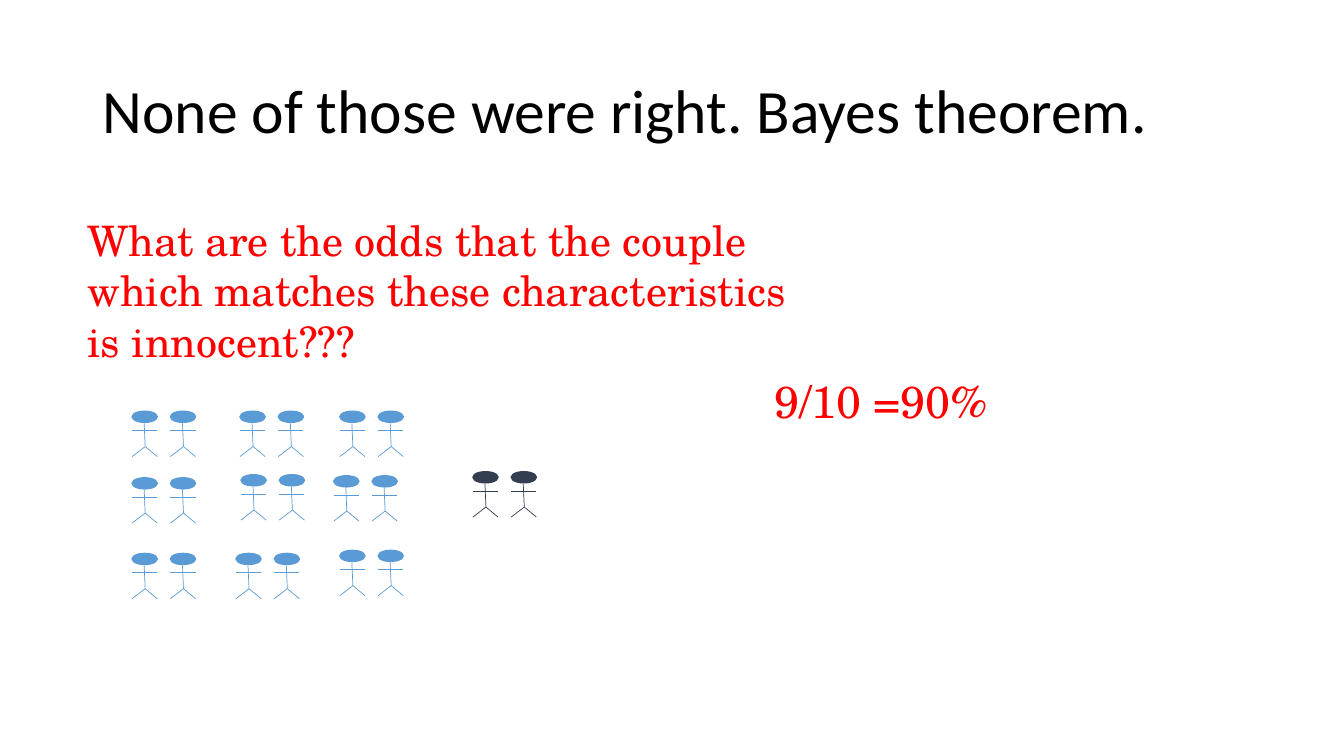
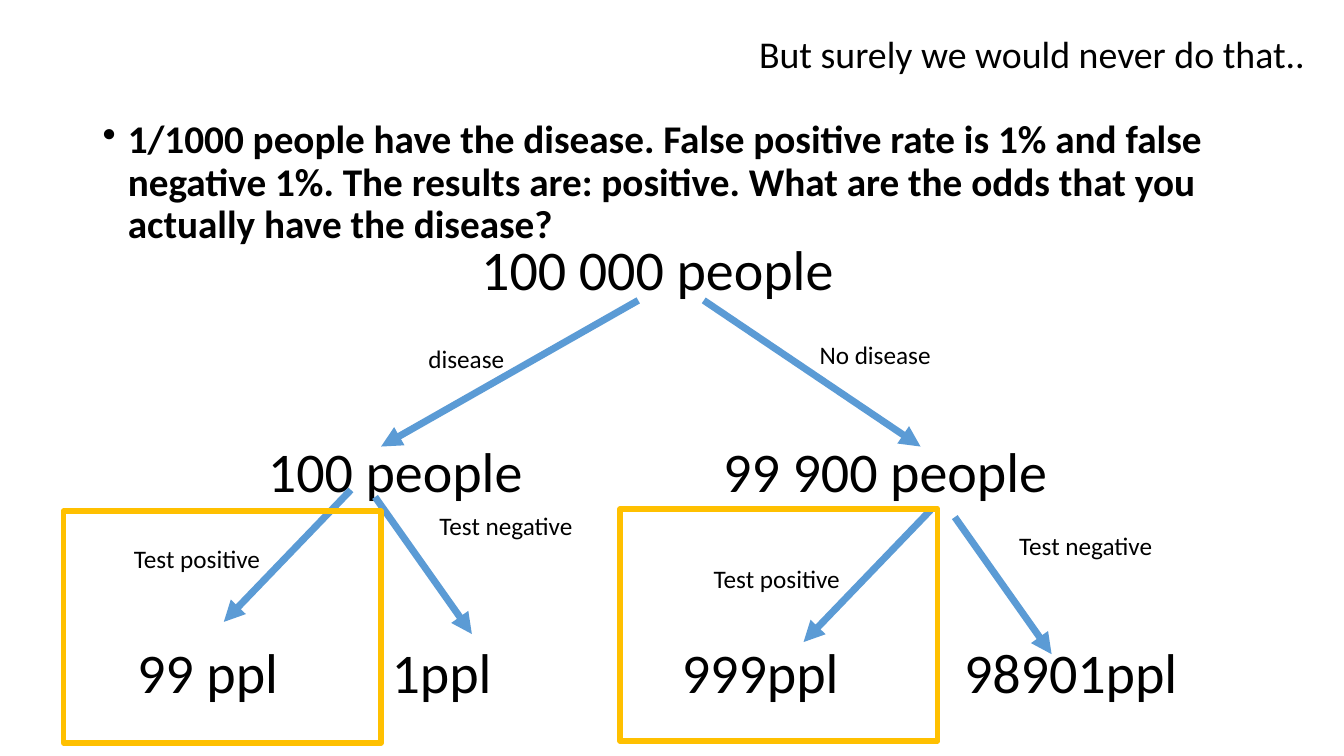
import pptx
import pptx.dml.color
import pptx.enum.shapes
import pptx.enum.text
import pptx.oxml
import pptx.oxml.ns
import pptx.util
from pptx.util import Inches

RGBColor = pptx.dml.color.RGBColor
BLACK = RGBColor(0x00, 0x00, 0x00)
RED = RGBColor(0xFF, 0x00, 0x00)
BLUE = RGBColor(0x5B, 0x9B, 0xD5)
SLATE = RGBColor(0x33, 0x3F, 0x50)
GOLD = RGBColor(0xFF, 0xC0, 0x00)

SANS = "Calibri"
SERIF = "TeX Gyre Schola"
LEFT = pptx.enum.text.PP_ALIGN.LEFT
CENTER = pptx.enum.text.PP_ALIGN.CENTER
RIGHT = pptx.enum.text.PP_ALIGN.RIGHT
TOP = pptx.enum.text.MSO_ANCHOR.TOP
MIDDLE = pptx.enum.text.MSO_ANCHOR.MIDDLE
SHAPE = pptx.enum.shapes.MSO_SHAPE
STRAIGHT = pptx.enum.shapes.MSO_CONNECTOR.STRAIGHT

PERSON_WIDTH = 0.25
PARTNER_GAP = 0.38
PERSON_LINES = [
    ((0.12, 0.12), (0.13, 0.35)),
    ((0.13, 0.35), (0, 0.45)),
    ((0.25, 0.45), (0.13, 0.35)),
    ((0, 0.19), (0.25, 0.19)),
]
INNOCENT_COUPLES = [
    (1.31, 4.08), (2.38, 4.08), (3.37, 4.08),
    (1.31, 4.74), (2.39, 4.71), (3.31, 4.72),
    (1.31, 5.49), (2.34, 5.49), (3.37, 5.46),
]
GUILTY_COUPLE = (4.69, 4.68)

NODE_HEIGHT = 0.77
TREE_TOP = 2.28
LEVEL_STEP = 2
TREE_LEVELS = [
    [("100 000 people", 6.52)],
    [("100 people", 3.92), ("99 900 people", 8.78)],
    [("99 ppl", 2.06), ("1ppl", 4.38), ("999ppl", 7.54), ("98901ppl", 10.62)],
]


def add_text(page, box, text, size, font=SANS, color=BLACK, bold=False,
             align=LEFT, anchor=TOP, spacing=1.0):
    frame = page.shapes.add_textbox(*map(Inches, box)).text_frame
    frame.word_wrap = True
    frame.vertical_anchor = anchor
    para = frame.paragraphs[0]
    para.alignment = align
    para.line_spacing = spacing
    span = para.add_run()
    span.text = text
    formats = {"name": font, "size": pptx.util.Pt(size), "bold": bold}
    for name, value in formats.items():
        setattr(span.font, name, value)
    span.font.color.rgb = color
    return para


def add_title(page, box, text, size, align=LEFT):
    add_text(page, box, text, size, align=align, anchor=MIDDLE, spacing=0.9)


def add_bullet(para, indent):
    properties = para._p.get_or_add_pPr()
    properties.set("marL", str(Inches(indent)))
    properties.set("indent", str(-Inches(indent)))
    pptx.oxml.ns.qn("a:buChar")
    bullet = pptx.oxml.parse_xml(
        '<a:buChar xmlns:a="http://schemas.openxmlformats.org/drawingml/2006/main" char="•"/>')
    properties.append(bullet)


def add_line(shapes, start, end, color, width, arrow=False):
    line = shapes.add_connector(STRAIGHT, *map(Inches, (*start, *end)))
    line.line.color.rgb = color
    line.line.width = pptx.util.Pt(width)
    if arrow:
        tail = line.line._get_or_add_ln().makeelement(
            pptx.oxml.ns.qn("a:tailEnd"), {"type": "triangle"})
        line.line._get_or_add_ln().append(tail)
    properties = line._element.spPr
    properties.append(properties.makeelement(pptx.oxml.ns.qn("a:effectLst"), {}))


def add_preset(shapes, preset, box, line_color, width, fill=None):
    shape = shapes.add_shape(preset, *map(Inches, box))
    shape.shadow.inherit = False
    shape.line.color.rgb = line_color
    shape.line.width = pptx.util.Pt(width)
    if fill is None:
        shape.fill.background()
    else:
        shape.fill.solid()
        shape.fill.fore_color.rgb = fill


def add_person(page, left, top, color):
    shapes = page.shapes.add_group_shape().shapes
    add_preset(shapes, SHAPE.OVAL, (left, top, PERSON_WIDTH, 0.11), color, 1, color)
    for start, end in PERSON_LINES:
        add_line(shapes, (left + start[0], top + start[1]),
                 (left + end[0], top + end[1]), color, 0.5)


def add_couple(page, left, top, color):
    for partner in range(2):
        add_person(page, left + partner * PARTNER_GAP, top, color)


def add_label(page, left, top, text):
    add_text(page, (left, top, 1.52, 0.4), text, 18)


def add_test_branch(page, left, top):
    add_line(page.shapes, (left + 2.25, top), (left + 0.99, top + 1.31), BLUE, 5, True)
    add_line(page.shapes, (left + 2.49, top + 0.07), (left + 3.45, top + 1.43), BLUE, 5, True)
    add_label(page, left, top + 0.48, "Test positive")
    add_label(page, left + 3.03, top + 0.15, "Test negative")


def add_disease_branch(page, left, top):
    add_line(page.shapes, (left + 2.55, top), (left, top + 1.45), BLUE, 5, True)
    add_line(page.shapes, (left + 3.2, top), (left + 5.35, top + 1.45), BLUE, 5, True)
    add_label(page, left + 0.37, top + 0.38, "disease")
    add_label(page, left + 4.25, top + 0.34, "No disease")


def add_tree_nodes(page, top):
    width = 4
    for level, nodes in enumerate(TREE_LEVELS):
        for text, center in nodes:
            box = (center - width / 2, top + level * LEVEL_STEP, width, NODE_HEIGHT)
            add_text(page, box, text, 40, align=CENTER)


def build_couples_page(page):
    add_title(page, (0.92, 0.4, 11.5, 1.45), "None of those were right. Bayes theorem.", 44)
    add_text(page, (0.77, 2.08, 7.24, 1.6),
             "What are the odds that the couple which matches these characteristics is innocent???",
             30, SERIF, RED)
    add_text(page, (7.58, 3.66, 2.43, 0.64), "9/10 =90%", 32, SERIF, RED)
    for left, top in INNOCENT_COUPLES:
        add_couple(page, left, top, BLUE)
    add_couple(page, *GUILTY_COUPLE, SLATE)


def build_disease_page(page):
    add_title(page, (0.92, 0.4, 12.12, 0.32), "But surely we would never do that..", 27, RIGHT)
    question = add_text(
        page, (0.92, 1.14, 11.5, 1.35),
        "1/1000 people have the disease. False positive rate is 1% and false negative 1%. "
        "The results are: positive. What are the odds that you actually have the disease?",
        28, bold=True, spacing=0.9)
    add_bullet(question, 0.25)
    add_tree_nodes(page, TREE_TOP)
    add_disease_branch(page, 3.78, 2.98)
    for left, top in [(1.23, 4.86), (6.98, 5.06)]:
        add_test_branch(page, left, top)
    for left, top in [(0.63, 5.07), (6.15, 5.05)]:
        add_preset(page.shapes, SHAPE.RECTANGLE, (left, top, 3.15, 2.3), GOLD, 4)


def main():
    deck = pptx.Presentation()
    deck.slide_width = Inches(13.33)
    deck.slide_height = Inches(7.5)
    for build in (build_couples_page, build_disease_page):
        build(deck.slides.add_slide(deck.slide_layouts[6]))
    deck.save("out.pptx")


if __name__ == "__main__":
    main()
